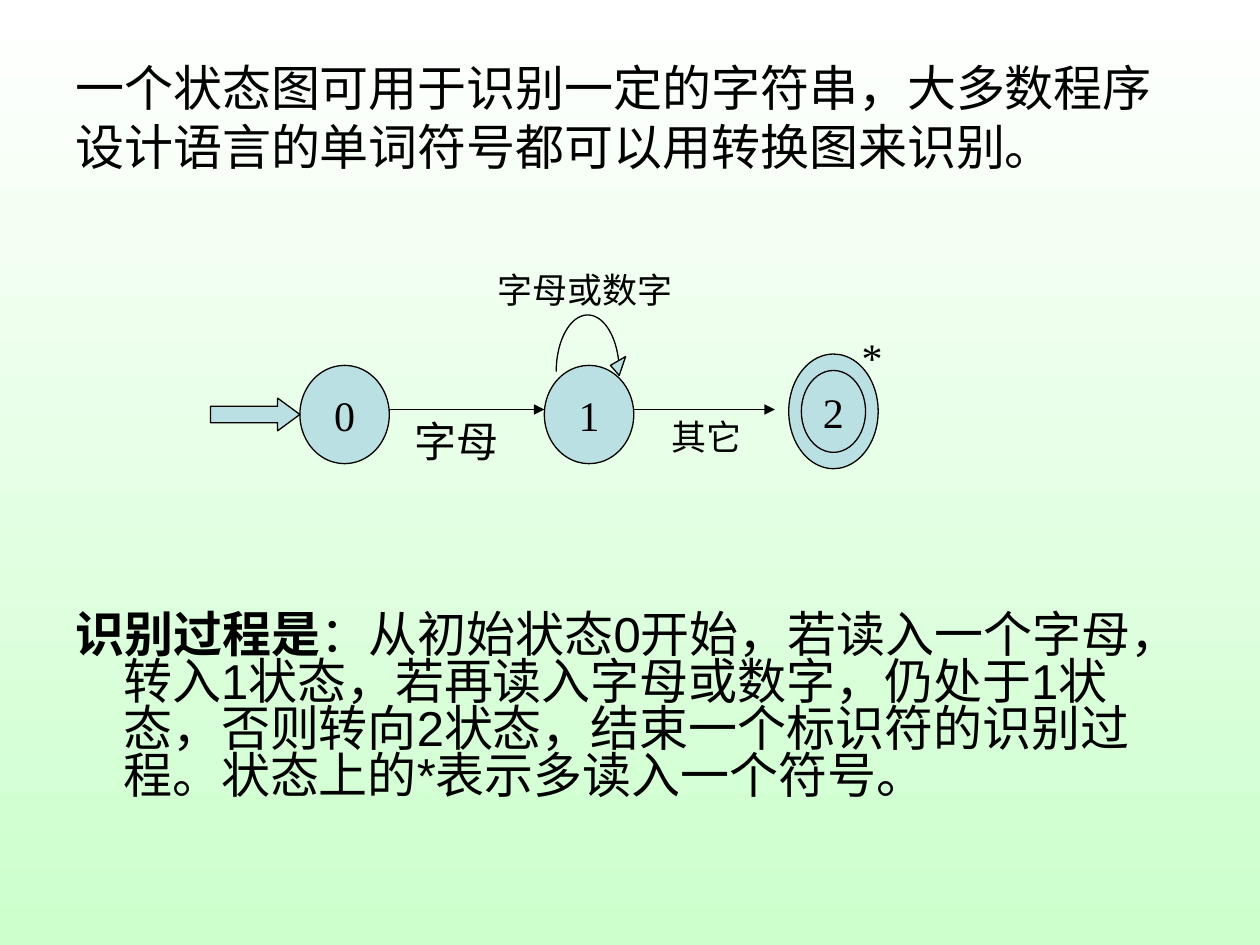
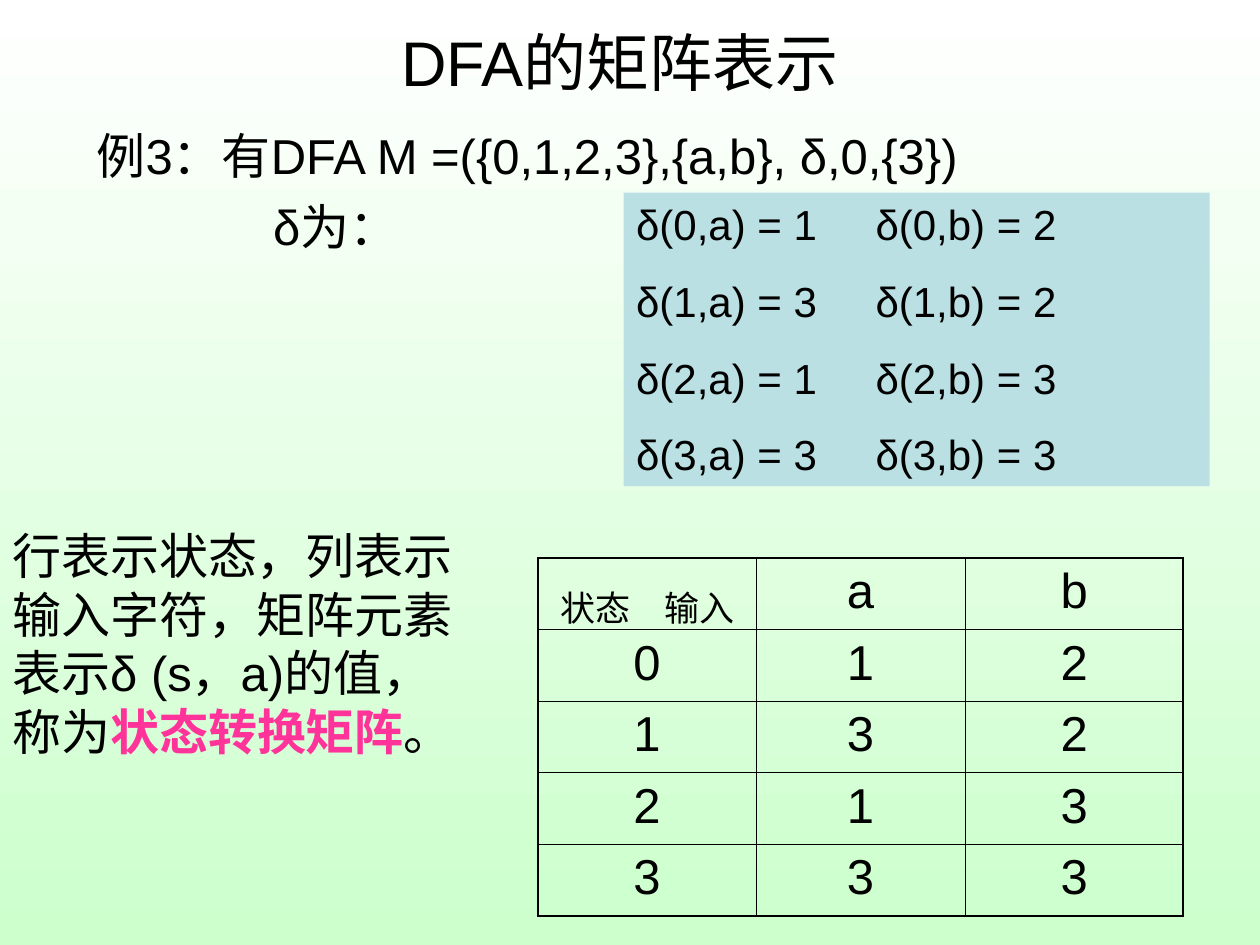
from math import cos, radians, sin

from lxml import etree
from pptx import Presentation
from pptx.dml.color import RGBColor
from pptx.enum.shapes import MSO_CONNECTOR, MSO_SHAPE
from pptx.enum.text import MSO_ANCHOR, PP_ALIGN
from pptx.oxml.ns import qn
from pptx.util import Inches, Pt

WHITE = RGBColor(0xFF, 0xFF, 0xFF)
MINT = RGBColor(0xCC, 0xFF, 0xCC)
BLACK = RGBColor(0, 0, 0)
AQUA = RGBColor(0xBB, 0xE0, 0xE3)
PINK = RGBColor(0xFF, 0x33, 0x99)
SANS, SERIF = "Arial", "Times New Roman"
OVAL, RECT, ARROW = MSO_SHAPE.OVAL, MSO_SHAPE.RECTANGLE, MSO_SHAPE.RIGHT_ARROW
LINE = MSO_CONNECTOR.STRAIGHT
LEFT, CENTER = PP_ALIGN.LEFT, PP_ALIGN.CENTER
TOP, MIDDLE = MSO_ANCHOR.TOP, MSO_ANCHOR.MIDDLE
THIN = Pt(0.75)


# Shared helpers

def new_slide(deck):
    slide = deck.slides.add_slide(deck.slide_layouts[6])
    fill = slide.background.fill
    fill.gradient()
    fill.gradient_angle = 270
    for stop, color in zip(fill.gradient_stops, (WHITE, MINT)):
        stop.color.rgb = color
    return slide


def style(run, size, face, color=BLACK, bold=False):
    run.font.size = Pt(size)
    run.font.name = face
    run.font.color.rgb = color
    run.font.bold = bold


def write(frame, lines, size, face, align=LEFT, gap=0):
    frame.text = "\n".join(lines)
    for i, para in enumerate(frame.paragraphs):
        para.alignment = align
        para._p.get_or_add_pPr().set("hangingPunct", "0")
        if i:
            para.space_before = Pt(gap)
        for run in para.runs:
            style(run, size, face)


def add_run(para, text, size, face, **look):
    run = para.add_run()
    run.text = text
    style(run, size, face, **look)


def indent(para, margin, first):
    props = para._p.get_or_add_pPr()
    props.set("marL", str(Inches(margin)))
    props.set("indent", str(Inches(first)))


def add_tab(para, pos):
    tabs = etree.SubElement(para._p.get_or_add_pPr(), qn("a:tabLst"))
    etree.SubElement(tabs, qn("a:tab"), pos=str(Inches(pos)), algn="l")


def add_text(slide, box, lines, size, face, align=LEFT, gap=0,
             anchor=TOP, wrap=True):
    frame = slide.shapes.add_textbox(*map(Inches, box)).text_frame
    frame.word_wrap = wrap
    frame.vertical_anchor = anchor
    write(frame, lines, size, face, align, gap)
    return frame


def paint(shape, fill=AQUA, line=BLACK):
    shape.shadow.inherit = False
    if fill is None:
        shape.fill.background()
    else:
        shape.fill.solid()
        shape.fill.fore_color.rgb = fill
    if line is None:
        shape.line.fill.background()
    else:
        shape.line.color.rgb = line
        shape.line.width = THIN


def add_shape(slide, kind, box, **look):
    shape = slide.shapes.add_shape(kind, *map(Inches, box))
    paint(shape, **look)
    return shape


def add_path(slide, points, close, fill):
    first, *rest = [(Inches(x), Inches(y)) for x, y in points]
    path = slide.shapes.build_freeform(*first)
    path.add_line_segments(rest, close=close)
    paint(path.convert_to_shape(), fill=fill)


# State diagram

def add_state(slide, box, name):
    frame = add_shape(slide, OVAL, box).text_frame
    frame.word_wrap = False
    frame.vertical_anchor = MIDDLE
    write(frame, [name], 24, SERIF, CENTER)


def add_edge(slide, start, end, y):
    edge = slide.shapes.add_connector(LINE, *map(Inches, (start, y, end, y)))
    edge.line.color.rgb = BLACK
    edge.line.width = THIN
    props = edge._element.spPr
    etree.SubElement(props.find(qn("a:ln")), qn("a:tailEnd"), type="triangle")
    etree.SubElement(props, qn("a:effectLst"))


def add_loop(slide, x, y):
    """Arc over a state, centred on x, y, with its arrowhead."""
    arc = [(x + 0.25 * cos(radians(a)), y - 0.45 * sin(radians(a)))
           for a in range(180, 11, -4)]
    add_path(slide, arc, False, None)
    head = [(0.3, -0.12), (0.25, 0.03), (0.18, -0.05)]
    add_path(slide, [(x + dx, y + dy) for dx, dy in head], True, AQUA)


def add_graph(slide, x, y):
    wide, step = 0.71, 1.94
    zero, one, two = (x + wide + i * step for i in range(3))

    # States
    add_shape(slide, OVAL, (two, y + 0.73, wide, 0.91))
    for left, name in ((zero, "0"), (one, "1")):
        add_state(slide, (left, y + 0.82, wide, 0.78), name)
    add_state(slide, (two + 0.1, y + 0.86, 0.51, 0.65), "2")

    # Moves
    add_edge(slide, zero + wide, one, y + 1.17)
    add_edge(slide, one + wide, two - 0.11, y + 1.17)
    entry = add_shape(slide, ARROW, (x, y + 1.08, wide, 0.26))
    entry.adjustments[1] = 0.68
    add_loop(slide, one + wide / 2 - 0.01, y + 0.87)

    # Labels
    labels = [
        ("字母", 1.52, 1.17, 1.43, 24),
        ("字母或数字", 2.18, 0, 2.14, 20),
        ("其它", 3.56, 1.17, 1.32, 20),
        ("*", 5.07, 0.5, 0.36, 24),
    ]
    for text, dx, dy, width, size in labels:
        add_text(slide, (x + dx, y + dy, width, 0.5), [text], size, SERIF)


def state_slide(deck):
    slide = new_slide(deck)
    add_text(slide, (0.5, 0.3, 9, 1.25),
             ["一个状态图可用于识别一定的字符串，大多数程序设计语言的单词符号都可以用转换图来识别。"],
             28, SERIF, anchor=MIDDLE)
    add_graph(slide, 1.67, 2.08)

    # Recognition steps
    frame = add_text(slide, (0.5, 4.83, 9, 1.75), ["识别过程是"], 28, SANS)
    para = frame.paragraphs[0]
    para.runs[0].font.bold = True
    add_run(para, "：从初始状态0开始，若读入一个字母，转入1状态，若再读入字母或数字，"
            "仍处于1状态，否则转向2状态，结束一个标识符的识别过程。"
            "状态上的*表示多读入一个符号。", 28, SANS)
    para.line_spacing = 0.8
    indent(para, 0.38, -0.38)


# Matrix slide

def add_rules(slide, box, moves):
    panel = add_shape(slide, RECT, box, line=None)
    frame = panel.text_frame
    frame.vertical_anchor = TOP
    lines = [f"δ({s},a) = {a}\tδ({s},b) = {b}"
             for s, (a, b) in enumerate(moves)]
    write(frame, lines, 24, SANS, gap=15)
    for para in frame.paragraphs:
        add_tab(para, 1.9)


def add_border(cell, side, points):
    line = etree.SubElement(cell._tc.get_or_add_tcPr(), qn("a:ln" + side),
                            w=str(Pt(points)))
    fill = etree.SubElement(line, qn("a:solidFill"))
    etree.SubElement(fill, qn("a:srgbClr"), val=str(BLACK))


def add_matrix(slide, box, moves):
    rows = [["", "a", "b"]] + [[s, *move] for s, move in enumerate(moves)]
    last_row, last_col = len(rows) - 1, len(rows[0]) - 1
    table = slide.shapes.add_table(len(rows), len(rows[0]),
                                   *map(Inches, box)).table
    table.first_row = table.horz_banding = False
    for col, width in zip(table.columns, (1.73, 1.66, 1.73)):
        col.width = Inches(width)
    for r, row in enumerate(rows):
        for c, value in enumerate(row):
            cell = table.cell(r, c)
            write(cell.text_frame, [str(value)], 28, SANS, CENTER)
            outer = {"L": c == 0, "R": c == last_col,
                     "T": r == 0, "B": r == last_row}
            for side, edge in outer.items():
                add_border(cell, side, 1.08 if edge else 0.45)
            cell.fill.background()

    # Corner heading
    corner = table.cell(0, 0)
    corner.margin_left, corner.margin_right = Inches(0.18), 0
    para = corner.text_frame.paragraphs[0]
    para.alignment = LEFT
    add_tab(para, 0.82)
    for text, size in (("状态", 20), ("\t", 28), ("输入", 20)):
        add_run(para, text, size, SANS)


def matrix_slide(deck):
    slide = new_slide(deck)
    moves = [(1, 2), (3, 2), (1, 3), (3, 3)]
    frame = add_text(slide, (0.67, 0.95, 8.66, 1.18),
                     ["例3：有DFA M =({0,1,2,3},{a,b}, δ,0,{3})", "δ为："],
                     28, SANS, gap=7)
    indent(frame.paragraphs[1], 0.38, 1.02)
    add_rules(slide, (4.95, 1.53, 4.65, 2.33), moves)
    add_matrix(slide, (4.27, 4.43, 5.12, 2.84), moves)

    # Explanation
    frame = add_text(slide, (0, 4.12, 3.74, 1.97),
                     ["行表示状态，列表示输入字符，矩阵元素表示δ (s，a)的值，称为"],
                     28, SANS)
    para = frame.paragraphs[0]
    add_run(para, "状态转换矩阵", 28, SANS, color=PINK, bold=True)
    add_run(para, "。", 28, SANS)

    # Title
    add_text(slide, (3.01, 0.14, 3.82, 0.7), ["DFA的矩阵表示"], 36, SANS,
             CENTER, wrap=False)


def main():
    deck = Presentation()
    deck.slide_width, deck.slide_height = Inches(10), Inches(7.5)
    state_slide(deck)
    matrix_slide(deck)
    deck.save("out.pptx")


if __name__ == "__main__":
    main()
